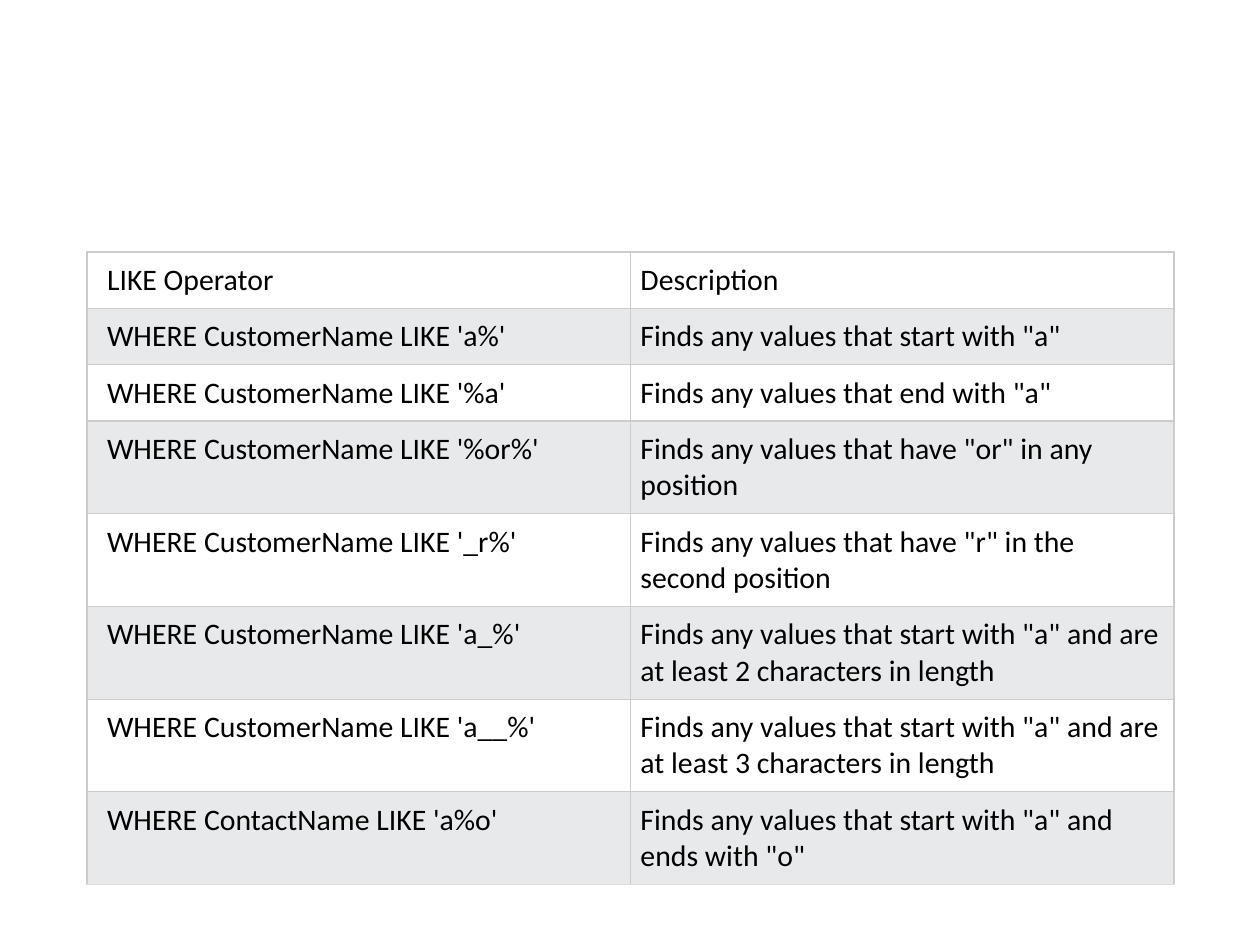
"""Builds a slide with a table of SQL LIKE operator examples."""
import pptx
import pptx.util
import pptx.dml.color
import pptx.oxml
import pptx.oxml.ns

SCALE = 914400 / 126
HUES = {"text": "000000", "plain": "FFFFFF", "band": "E7E9EB",
        "rule": "CCCCCC", "base": "DDDDDD"}
ROWS = [
    ("LIKE Operator", "Description", 56),
    ("WHERE CustomerName LIKE 'a%'", 'Finds any values that start with "a"', 56),
    ("WHERE CustomerName LIKE '%a'", 'Finds any values that end with "a"', 56),
    ("WHERE CustomerName LIKE '%or%'",
     'Finds any values that have "or" in any position', 92),
    ("WHERE CustomerName LIKE '_r%'",
     'Finds any values that have "r" in the second position', 92),
    ("WHERE CustomerName LIKE 'a_%'",
     'Finds any values that start with "a" and are at least 2 characters in length', 92),
    ("WHERE CustomerName LIKE 'a__%'",
     'Finds any values that start with "a" and are at least 3 characters in length', 92),
    ("WHERE ContactName LIKE 'a%o'",
     'Finds any values that start with "a" and ends with "o"', 92),
]


def px(num):
    return pptx.util.Emu(round(num * SCALE))


def write(cell, text, *, left, fill, base, size=17, face="Calibri", hue="text"):
    cell.margin_left = px(left)
    cell.margin_right = cell.margin_top = cell.margin_bottom = px(10)
    para = cell.text_frame.paragraphs[0]
    run = para.add_run()
    run.text = text
    run.font.size = pptx.util.Pt(size)
    run.font.name = face
    run.font.color.rgb = pptx.dml.color.RGBColor.from_string(HUES[hue])
    props = cell._tc.get_or_add_tcPr()
    for side in "LRTB":
        tint = HUES[base if side == "B" else "rule"]
        props.append(pptx.oxml.parse_xml(
            f'<a:ln{side} {pptx.oxml.ns.nsdecls("a")} w="{pptx.util.Pt(0.75)}">'
            f'<a:solidFill><a:srgbClr val="{tint}"/></a:solidFill></a:ln{side}>'))
    cell.fill.solid()
    cell.fill.fore_color.rgb = pptx.dml.color.RGBColor.from_string(HUES[fill])


deck = pptx.Presentation()
deck.slide_width, deck.slide_height = px(1260), px(945)
slide = deck.slides.add_slide(deck.slide_layouts[6])
high = sum(row[2] for row in ROWS)
grid = slide.shapes.add_table(len(ROWS), 2, px(87), px(252), px(1087), px(high)).table

for num, (*words, tall) in enumerate(ROWS):
    grid.rows[num].height = px(tall)
    last = num == len(ROWS) - 1
    for col, text in enumerate(words):
        write(grid.cell(num, col), text, left=10 if col else 20,
              fill="band" if num % 2 else "plain", base="base" if last else "rule")

deck.save("out.pptx")
